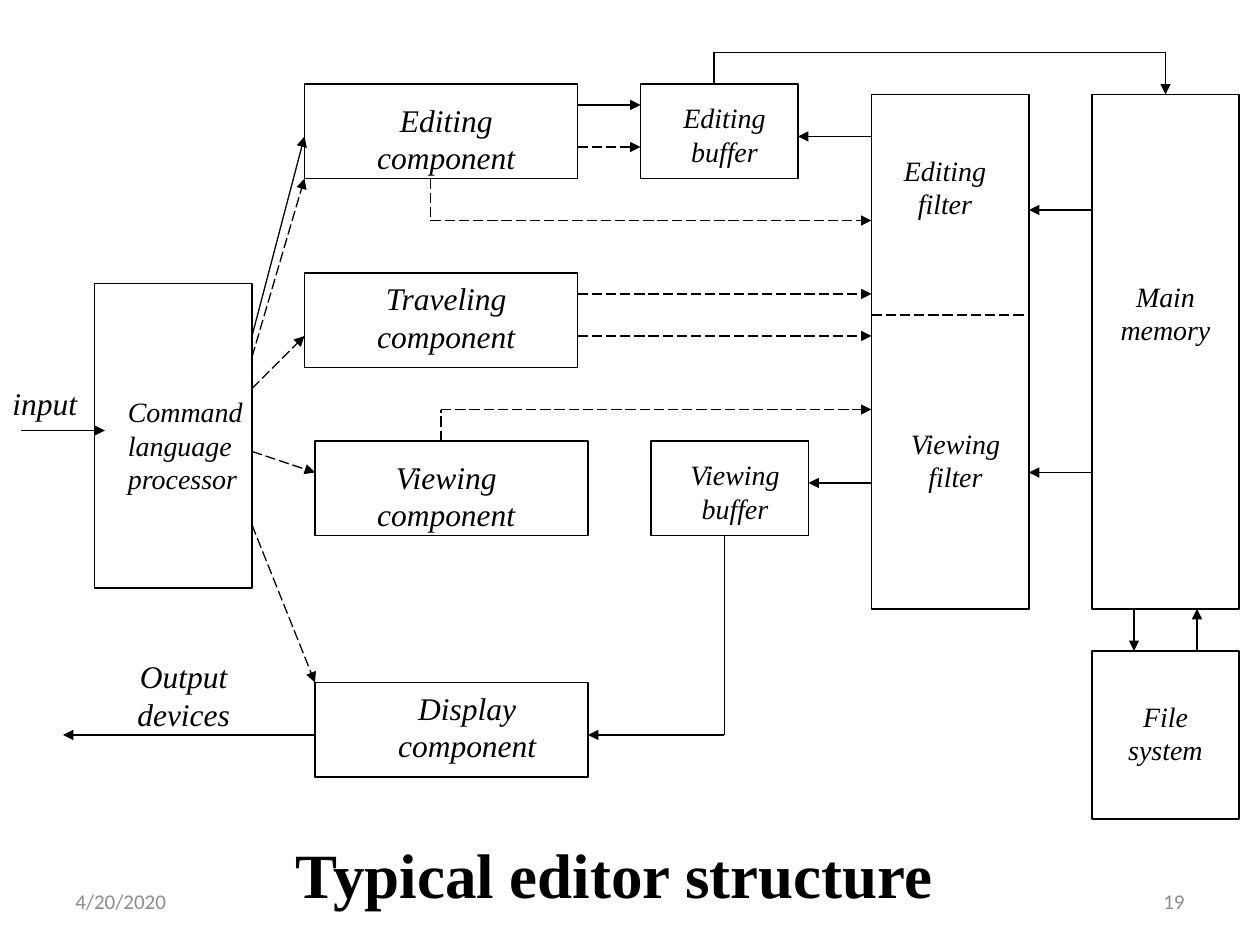
from lxml import etree
from pptx import Presentation
from pptx.dml.color import RGBColor
from pptx.enum.dml import MSO_LINE
from pptx.enum.shapes import MSO_CONNECTOR, MSO_SHAPE
from pptx.enum.text import MSO_ANCHOR, MSO_AUTO_SIZE, PP_ALIGN
from pptx.oxml.ns import qn
from pptx.util import Cm, Pt

BLACK = RGBColor(0x00, 0x00, 0x00)
GRAY = RGBColor(0x8C, 0x8C, 0x8C)
LEFT, CENTER, RIGHT = PP_ALIGN.LEFT, PP_ALIGN.CENTER, PP_ALIGN.RIGHT
TOP, MIDDLE = MSO_ANCHOR.TOP, MSO_ANCHOR.MIDDLE
FIT = MSO_AUTO_SIZE.SHAPE_TO_FIT_TEXT
RECTANGLE, STRAIGHT = MSO_SHAPE.RECTANGLE, MSO_CONNECTOR.STRAIGHT
LONG_DASH = MSO_LINE.LONG_DASH


def grid(*steps):
    """Turn grid steps (twelve to 2.54 cm) into lengths."""
    return [Cm(step * 2.54 / 12) for step in steps]


class Diagram:
    font = "Times New Roman"
    line_width = Pt(0.75)

    def __init__(self, slide):
        self.shapes = slide.shapes

    def box(self, left, top, width, height):
        rect = self.shapes.add_shape(RECTANGLE, *grid(left, top, width, height))
        rect.shadow.inherit = False
        rect.fill.background()
        rect.line.color.rgb = BLACK
        rect.line.width = self.line_width
        return rect

    def text(self, words, left, top, width, height, size=16, align=CENTER,
             italic=True, bold=False, font=None, color=BLACK, anchor=TOP):
        frame = self.shapes.add_textbox(*grid(left, top, width, height)).text_frame
        frame.word_wrap = True
        frame.auto_size = FIT
        frame.vertical_anchor = anchor
        frame.text = words
        paragraph = frame.paragraphs[0]
        paragraph.alignment = align
        style = paragraph.runs[0].font
        style.name = font or self.font
        style.size = Pt(size)
        style.italic = italic
        style.bold = bold
        style.color.rgb = color

    def route(self, *points, dashed=False, arrow=True):
        """Join the points with straight lines; return the last one."""
        for start, end in zip(points, points[1:]):
            segment = self.shapes.add_connector(STRAIGHT, *grid(*start, *end))
            segment.line.color.rgb = BLACK
            segment.line.width = self.line_width
            if dashed:
                segment.line.dash_style = LONG_DASH
            properties = segment._element.spPr
            etree.SubElement(properties, qn("a:effectLst"))
        if arrow:
            outline = properties.find(qn("a:ln"))
            etree.SubElement(outline, qn("a:tailEnd"), type="triangle")
        return segment


def main():
    deck = Presentation()
    deck.slide_width, deck.slide_height = grid(120, 90)
    diagram = Diagram(deck.slides.add_slide(deck.slide_layouts[6]))

    # Components: box corner, then label corner
    for name, box_at, label_at in (
        ("Editing component", (29, 8), (33, 9)),
        ("Traveling component", (29, 26), (33, 26)),
        ("Viewing component", (30, 42), (33, 43)),
        ("Display component", (30, 65), (35, 65)),
    ):
        diagram.box(*box_at, 26, 9)
        diagram.text(name, *label_at, 19, 8.4, size=18)

    # Command processor, buffers, filters and storage
    diagram.box(9, 27, 15, 29)
    diagram.text("Command language processor", 11, 37, 16, 10.8, align=LEFT)
    for buffer_at in ((61, 8), (62, 42)):
        diagram.box(*buffer_at, 15, 9)
    diagram.box(83, 9, 15, 49)
    memory = diagram.box(104, 9, 14, 49)
    diagram.box(104, 62, 14, 16)
    for name, left, top in (
        ("Editing buffer", 62, 9),
        ("Viewing buffer", 63, 43),
        ("Editing filter", 83, 14),
        ("Viewing filter", 84, 40),
        ("Main memory", 104, 26),
        ("File system", 104, 66),
    ):
        diagram.text(name, left, top, 14, 7.7)
    diagram.route((83, 30), (98, 30), dashed=True, arrow=False)

    # Data flow
    for points in (
        ((2, 41), (10, 41)),
        ((24, 32), (29, 13)),
        ((55, 10), (61, 10)),
        ((108, 58), (108, 62)),
        ((114, 62), (114, 58)),
        ((104, 20), (98, 20)),
        ((104, 45), (98, 45)),
        ((83, 13), (76, 13)),
        ((83, 46), (77, 46)),
        ((69, 51), (69, 70), (56, 70)),
        ((30, 70), (6, 70)),
    ):
        diagram.route(*points)
    to_memory = diagram.route((68, 8), (68, 5), (111, 5), (111, 9))
    to_memory.end_connect(memory, 0)

    # Control flow
    for points in (
        ((24, 34), (29, 17)),
        ((24, 37), (29, 32)),
        ((24, 43), (30, 45)),
        ((24, 50), (30, 65)),
        ((55, 14), (61, 14)),
        ((41, 17), (41, 21), (83, 21)),
        ((42, 42), (42, 39), (83, 39)),
        ((55, 28), (83, 28)),
        ((55, 32), (83, 32)),
    ):
        diagram.route(*points, dashed=True)

    # Input, output and title
    diagram.text("input", 0, 36, 9, 4.8, size=18, align=LEFT)
    diagram.text("Output devices", 8, 62, 19, 8.4, size=18)
    diagram.text("Typical editor structure", 27, 79, 69, 8.4, size=36,
                 align=LEFT, italic=False, bold=True)

    # Date and slide number
    for words, left, align in (("4/20/2020", 6, LEFT), ("19", 86, RIGHT)):
        diagram.text(words, left, 83.4, 28, 4.8, size=12, align=align,
                     italic=False, font="Calibri", color=GRAY, anchor=MIDDLE)

    deck.save("out.pptx")


if __name__ == "__main__":
    main()
